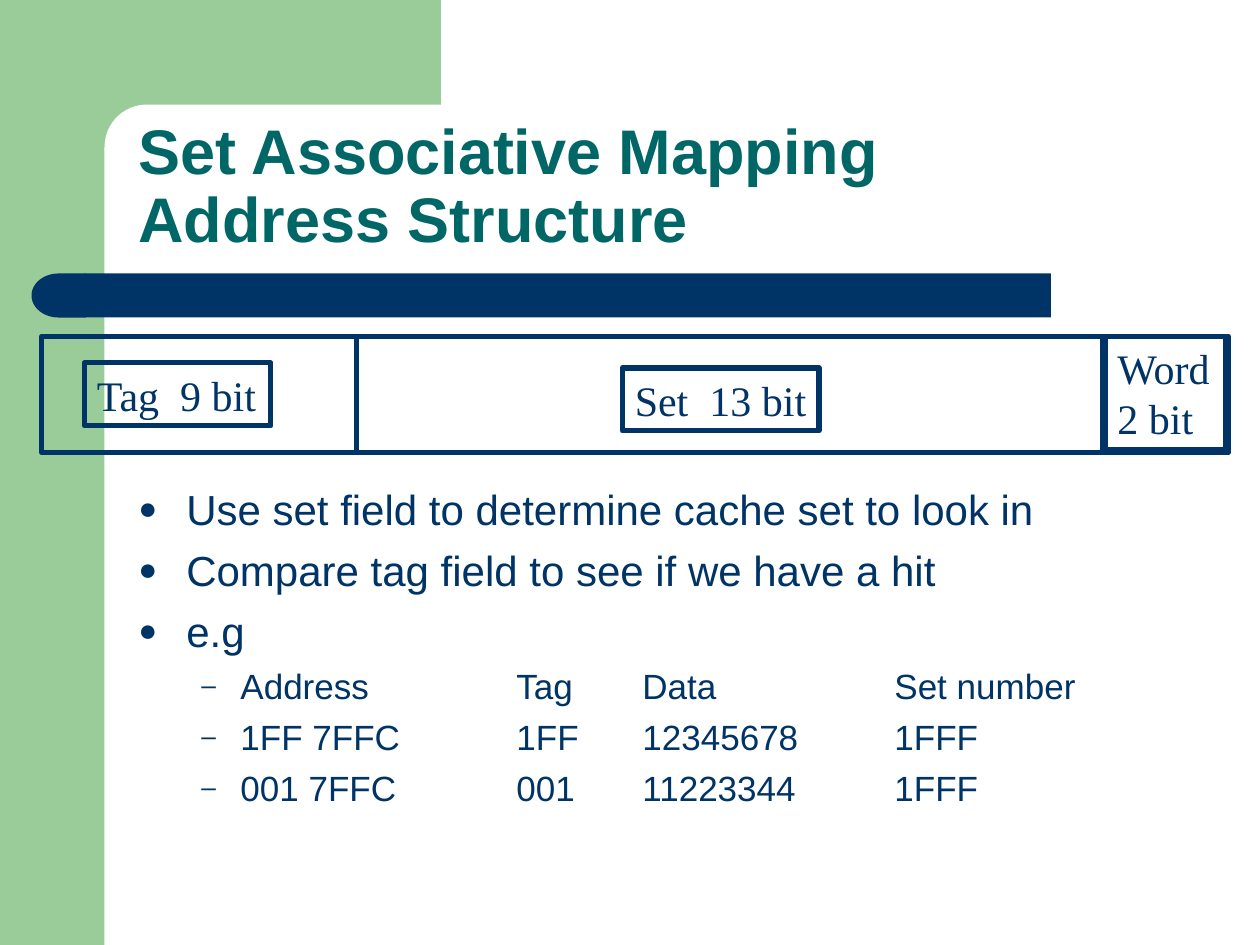
from lxml import etree
from pptx import Presentation
from pptx.dml.color import RGBColor
from pptx.enum import shapes, text
from pptx.oxml import ns
from pptx.util import Inches, Pt

COLORS = {"green": "99CC99", "navy": "003366", "teal": "006666", "white": "FFFFFF"}
BULLETS = ["Use set field to determine cache set to look in",
           "Compare tag field to see if we have a hit",
           "e.g"]
EXAMPLES = [("Address", "Tag", "Data", "Set number"),
            ("1FF 7FFC", "1FF", "12345678", "1FFF"),
            ("001 7FFC", "001", "11223344", "1FFF")]
EXAMPLE_TABS = (3, 4, 6)


def rgb(name):
    return RGBColor.from_string(COLORS[name])


def add_shape(slide, kind, left, top, width, height, fill=None, line=None):
    shape = slide.shapes.add_shape(kind, Inches(left), Inches(top),
                                   Inches(width), Inches(height))
    shape.shadow.inherit = False
    if fill:
        shape.fill.solid()
        shape.fill.fore_color.rgb = rgb(fill)
    else:
        shape.fill.background()
    if line:
        shape.line.color.rgb = rgb(line)
        shape.line.width = Pt(3)
    else:
        shape.line.fill.background()
    return shape


def add_text_box(slide, left, top, width, height):
    box = slide.shapes.add_textbox(Inches(left), Inches(top),
                                   Inches(width), Inches(height))
    box.text_frame.word_wrap = True
    return box.text_frame


def style_runs(paragraph, font, size, color, bold=False):
    paragraph.alignment = text.PP_ALIGN.LEFT
    for run in paragraph.runs:
        run.font.name = font
        run.font.size = Pt(size)
        run.font.bold = bold
        run.font.color.rgb = rgb(color)


def set_bullet(paragraph, character, margin, hanging, tabs=()):
    """Give a paragraph a hanging bullet and left tab stops, in inches."""
    properties = paragraph._p.get_or_add_pPr()
    properties.set("marL", str(Inches(margin)))
    properties.set("indent", str(-Inches(hanging)))

    def add(parent, tag, **attributes):
        return etree.SubElement(parent, ns.qn(tag), attributes)

    add(add(properties, "a:buClr"), "a:srgbClr", val=COLORS["navy"])
    add(properties, "a:buSzPct", val="75000")
    add(properties, "a:buFont", typeface="Arial")
    add(properties, "a:buChar", char=character)
    if tabs:
        tab_list = add(properties, "a:tabLst")
        for tab in tabs:
            add(tab_list, "a:tab", pos=str(Inches(tab)), algn="l")


def add_background(slide, left, top, height):
    """Green corner with a rounded white panel cut into it."""
    kinds = shapes.MSO_SHAPE
    add_shape(slide, kinds.RECTANGLE, left, top, 0.83, height, "green")
    add_shape(slide, kinds.RECTANGLE, left + 0.75, top, 2.75, 1.17, "green")
    panel = add_shape(slide, kinds.ROUNDED_RECTANGLE,
                      left + 0.83, top + 0.83, 5.58, 0.67, "white")
    panel.adjustments[0] = 0.5


def add_title_bar(slide, left, top, width, height):
    """Navy bar with a rounded left end."""
    kinds = shapes.MSO_SHAPE
    cap_width = 0.43
    add_shape(slide, kinds.RECTANGLE, left + cap_width - 0.01, top,
              width - cap_width + 0.01, height, "navy")
    cap = add_shape(slide, kinds.FLOWCHART_DELAY, left, top, cap_width, height, "navy")
    cap.rotation = 180


def add_title(slide, left, top, width, height):
    frame = add_text_box(slide, left, top, width, height)
    frame.vertical_anchor = text.MSO_ANCHOR.BOTTOM
    frame.text = "Set Associative Mapping\vAddress Structure"
    paragraph = frame.paragraphs[0]
    paragraph.line_spacing = 0.9
    style_runs(paragraph, "Arial", 36, "teal", bold=True)


def add_field_label(slide, label, left, top, width, height):
    shape = add_shape(slide, shapes.MSO_SHAPE.RECTANGLE, left, top, width, height,
                      line="navy")
    frame = shape.text_frame
    frame.word_wrap = False
    frame.vertical_anchor = text.MSO_ANCHOR.TOP
    frame.text = label
    for paragraph in frame.paragraphs:
        style_runs(paragraph, "Times New Roman", 24, "navy")


def add_address_fields(slide, left, top, width, height):
    """Address frame divided into tag, set and word fields."""
    add_shape(slide, shapes.MSO_SHAPE.RECTANGLE, left, top, width, height, line="navy")
    for offset in (2.5, 8.42):
        x = Inches(left + offset)
        divider = slide.shapes.add_connector(
            shapes.MSO_CONNECTOR.STRAIGHT, x, Inches(top), x, Inches(top + height))
        divider.line.color.rgb = rgb("navy")
        divider.line.width = Pt(3)
        etree.SubElement(divider._element.spPr, ns.qn("a:effectLst"))
    add_field_label(slide, "Tag  9 bit", left + 0.34, top + 0.21, 1.48, 0.5)
    add_field_label(slide, "Set  13 bit", left + 4.61, top + 0.25, 1.56, 0.5)
    add_field_label(slide, "Word\n2 bit", left + 8.44, top, 0.96, 0.9)


def add_body(slide, left, top, width, height):
    frame = add_text_box(slide, left, top, width, height)
    rows = ["\t".join(row) for row in EXAMPLES]
    frame.text = "\n".join(BULLETS + rows)
    for index, paragraph in enumerate(frame.paragraphs):
        if index < len(BULLETS):
            size, space = 24, 6
            set_bullet(paragraph, "●", 0.38, 0.38)
        else:
            size, space = 20, 5
            paragraph.level = 1
            set_bullet(paragraph, "–", 0.81, 0.31, EXAMPLE_TABS)
        if index:
            paragraph.space_before = Pt(space)
        style_runs(paragraph, "Arial", size, "navy")


def main():
    presentation = Presentation()
    presentation.slide_width = Inches(10)
    presentation.slide_height = Inches(7.5)
    slide = presentation.slides.add_slide(presentation.slide_layouts[6])
    add_background(slide, 0, 0, 7.5)
    add_title_bar(slide, 0.25, 2.17, 8.09, 0.35)
    add_title(slide, 1, 0.83, 8.75, 1.25)
    add_body(slide, 1, 3.79, 8.75, 2.87)
    add_address_fields(slide, 0.33, 2.67, 9.42, 0.92)
    presentation.save("out.pptx")


if __name__ == "__main__":
    main()
